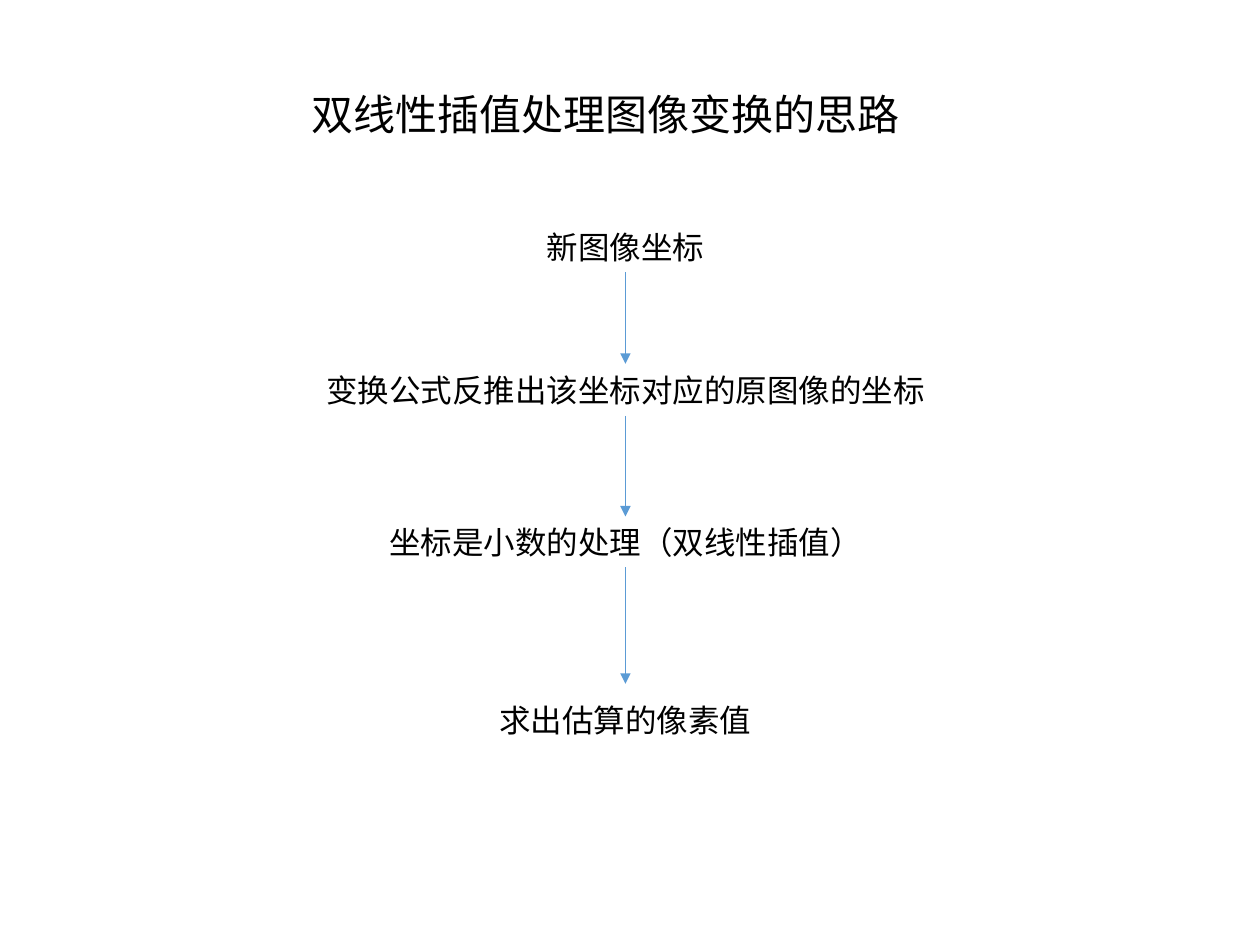
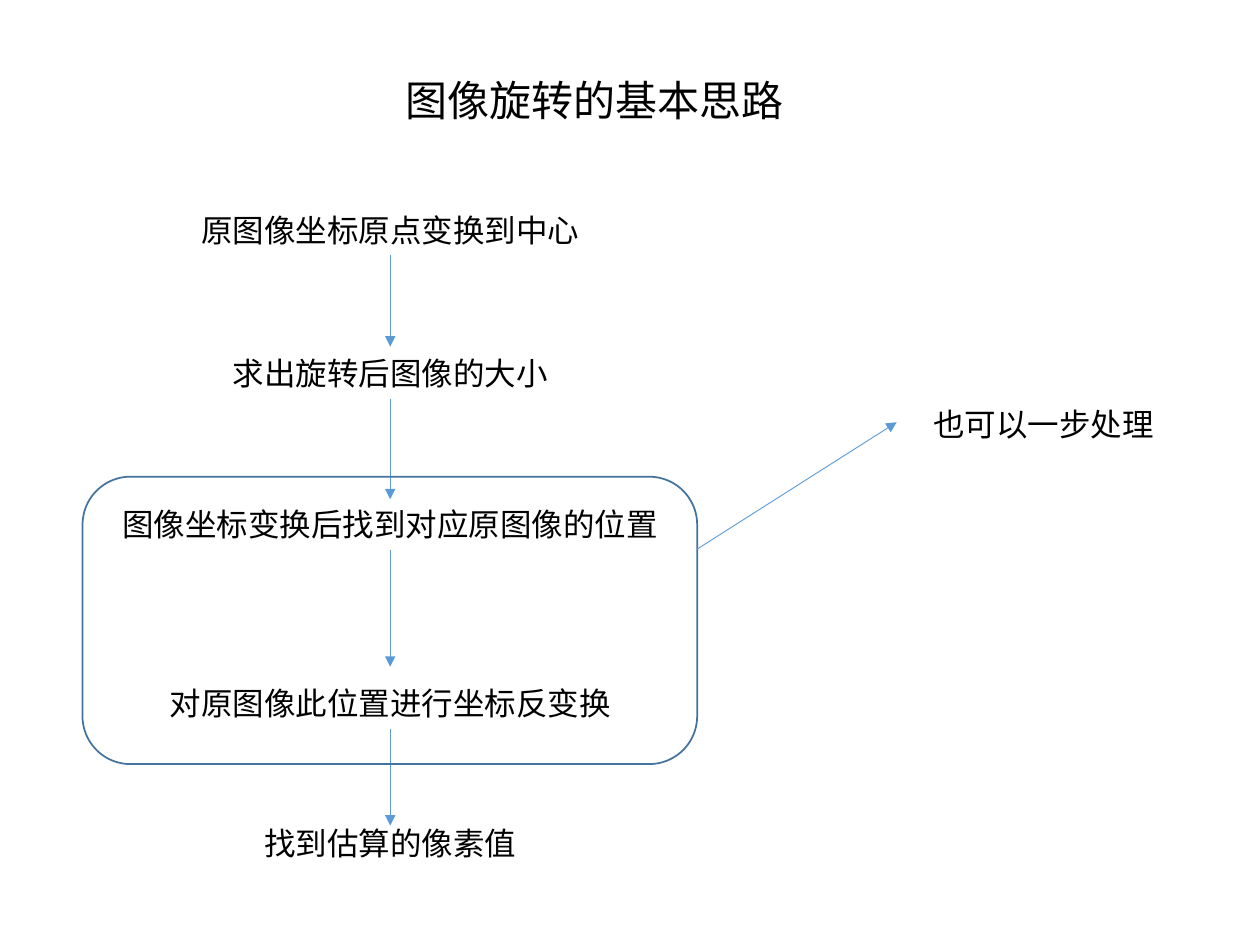
from dataclasses import dataclass

from pptx import Presentation
from pptx.dml.color import RGBColor
from pptx.enum.shapes import MSO_CONNECTOR as Conn, MSO_SHAPE as Shape
from pptx.enum.text import MSO_ANCHOR as Anchor, MSO_AUTO_SIZE as AutoSize, PP_ALIGN as Align
from pptx.oxml.ns import qn
from pptx.util import Pt
from lxml.etree import SubElement

# Shared look
COLORS = {"text": "000000", "arrow": "5B9BD5", "frame": "43739E"}
FONT = "Calibri"
TITLE_SIZE, STEP_SIZE = 24, 18
TITLE_H, STEP_H = 36, 29
SIDE_INSETS = 14.4
TITLE_SLACK = 4  # keeps the title on one line
FRAME_FORMAT = {"word_wrap": False, "auto_size": AutoSize.SHAPE_TO_FIT_TEXT,
                "vertical_anchor": Anchor.TOP}

# Step tops below the first step, and the gap between arrow tip and step
STEP_OFFSETS = (0, 82, 168.5, 270.7, 350.7)
TIP_GAPS = (0, 0.7, 0, 6.5, -4.3)


@dataclass
class Flow:
    title: str
    title_center: float
    title_top: float
    center: float
    top: float
    steps: tuple[str, ...]


@dataclass
class Grouping:
    left: float
    top: float
    width: float
    height: float
    note: str
    note_left: float
    note_top: float
    arrow: tuple[float, float, float, float]


FLOWS = (
    Flow("双线性插值处理图像变换的思路", 346, 46.8, 357.4, 126.6,
         ("新图像坐标", "变换公式反推出该坐标对应的原图像的坐标",
          "坐标是小数的处理（双线性插值）", "求出估算的像素值")),
    Flow("图像旋转的基本思路", 339.5, 38.9, 223, 116.8,
         ("原图像坐标原点变换到中心", "求出旋转后图像的大小",
          "图像坐标变换后找到对应原图像的位置",
          "对原图像此位置进行坐标反变换", "找到估算的像素值")),
)
ONE_STEP = Grouping(47.2, 272.4, 351.2, 164.2, "也可以一步处理", 526.3, 227.7,
                    (398.2, 313.9, 512.4, 241.3))


def rgb(name: str) -> RGBColor:
    return RGBColor.from_string(COLORS[name])


def text_width(text: str, size: float) -> float:
    return len(text) * size + SIDE_INSETS


def write(sp, text: str, size: float, align: Align) -> None:
    tf = sp.text_frame
    for name, value in FRAME_FORMAT.items():
        setattr(tf, name, value)
    p = tf.paragraphs[0]
    p.alignment = align
    r = p.add_run()
    r.text = text
    for name, value in {"size": Pt(size), "name": FONT}.items():
        setattr(r.font, name, value)
    r.font.color.rgb = rgb("text")


def add_title(s, flow: Flow) -> None:
    sp = s.shapes.title
    width = text_width(flow.title, TITLE_SIZE) + TITLE_SLACK
    box = {"left": flow.title_center - width / 2, "top": flow.title_top,
           "width": width, "height": TITLE_H}
    for name, value in box.items():
        setattr(sp, name, Pt(value))
    write(sp, flow.title, TITLE_SIZE, Align.CENTER)


def add_label(s, text: str, left: float, top: float, align: Align) -> None:
    sp = s.shapes.add_textbox(Pt(left), Pt(top), Pt(text_width(text, STEP_SIZE)), Pt(STEP_H))
    write(sp, text, STEP_SIZE, align)


def add_arrow(s, x1: float, y1: float, x2: float, y2: float) -> None:
    line = s.shapes.add_connector(Conn.STRAIGHT, Pt(x1), Pt(y1), Pt(x2), Pt(y2))
    line.line.color.rgb = rgb("arrow")
    line.line.width = Pt(0.5)
    ln = line._element.spPr.find(qn("a:ln"))
    SubElement(ln, qn("a:tailEnd"), type="triangle")
    SubElement(line._element.spPr, qn("a:effectLst"))


def add_flow(s, flow: Flow) -> None:
    add_title(s, flow)
    bottom = None
    for text, offset, gap in zip(flow.steps, STEP_OFFSETS, TIP_GAPS):
        top = flow.top + offset
        if bottom is not None:
            add_arrow(s, flow.center, bottom, flow.center, top - gap)
        add_label(s, text, flow.center - text_width(text, STEP_SIZE) / 2, top, Align.CENTER)
        bottom = top + STEP_H


def add_grouping(s, group: Grouping) -> None:
    sp = s.shapes.add_shape(Shape.ROUNDED_RECTANGLE, Pt(group.left), Pt(group.top),
                            Pt(group.width), Pt(group.height))
    sp.shadow.inherit = False
    sp.fill.background()
    sp.line.color.rgb = rgb("frame")
    sp.line.width = Pt(1)
    add_arrow(s, *group.arrow)
    add_label(s, group.note, group.note_left, group.note_top, Align.LEFT)


def main() -> None:
    prs = Presentation()
    prs.slide_width, prs.slide_height = Pt(720), Pt(540)
    title_only = prs.slide_layouts[5]

    # Both flows, one slide each
    slides = [prs.slides.add_slide(title_only) for _ in FLOWS]
    for s, flow in zip(slides, FLOWS):
        add_flow(s, flow)

    # Rotation: two steps that can be merged
    add_grouping(slides[1], ONE_STEP)
    prs.save("out.pptx")


if __name__ == "__main__":
    main()
